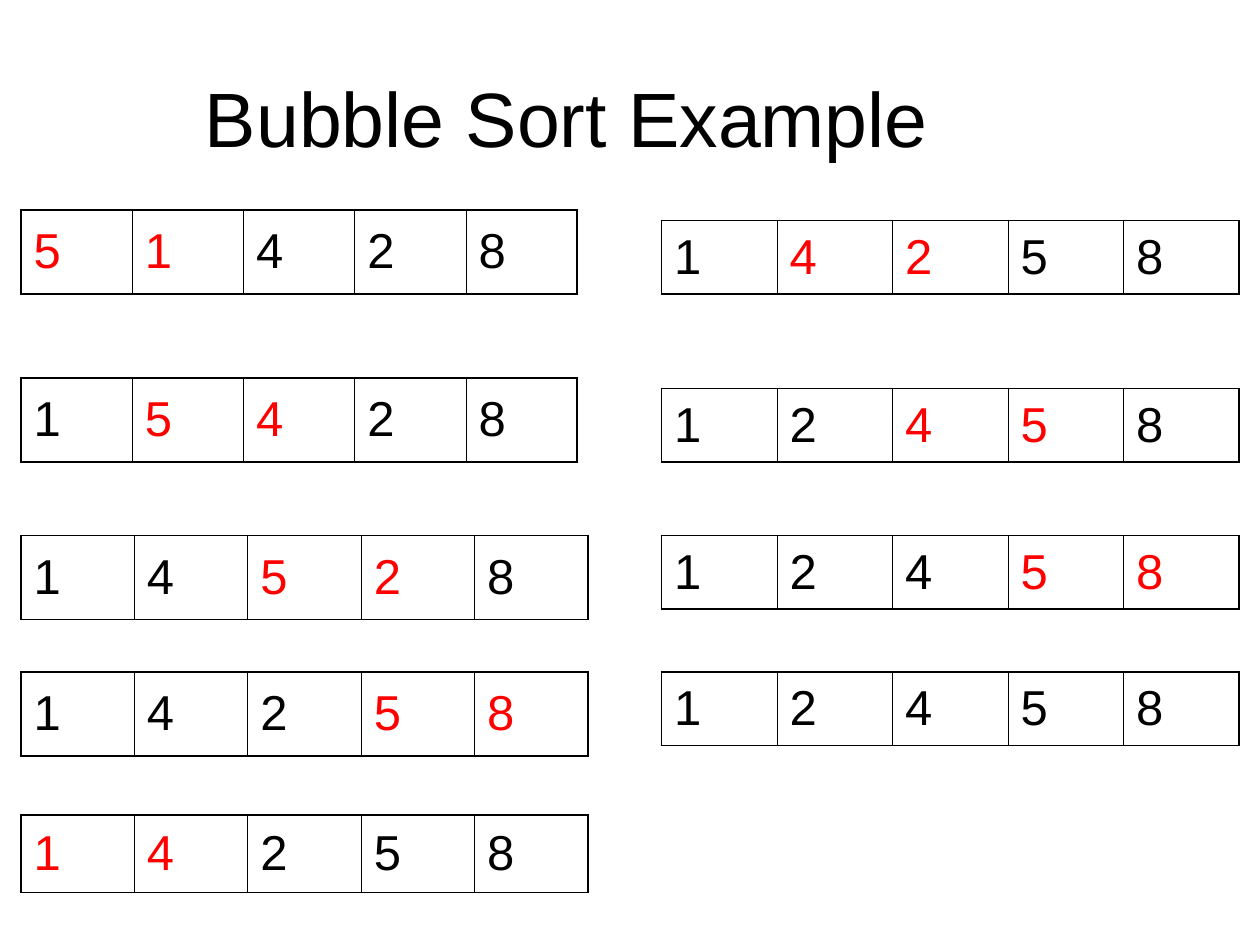
from lxml import etree
from pptx import Presentation
from pptx.dml.color import RGBColor
from pptx.enum.text import MSO_ANCHOR, PP_ALIGN
from pptx.oxml.ns import qn
from pptx.util import Inches, Pt

MIDDLE = MSO_ANCHOR.MIDDLE
LEFT, CENTER = PP_ALIGN.LEFT, PP_ALIGN.CENTER

COLORS = {"text": "000000", "compared": "FF0000", "border": "000000"}
FONT = "Arial"
UNIT = Inches(1) / 12  # grid step: the slide is 120 by 90 units
THIN, THICK = 0.45, 1.08

# Each step: left, top, width, height in units, values, first compared index
STEPS = [
    (2, 20, 53, 8, "51428", 0),
    (2, 36, 53, 8, "15428", 1),
    (2, 51, 54, 8, "14528", 2),
    (2, 64, 54, 8, "14258", 3),
    (2, 77.6, 54, 7.4, "14258", 0),
    (63, 21, 55, 7, "14258", 1),
    (63, 37, 55, 7, "12458", 2),
    (63, 51, 55, 7, "12458", 3),
    (63, 64, 55, 7, "12458", None),
]


def units(count):
    return round(count * UNIT)


def write_text(text_frame, text, size, color="text", align=LEFT, space_before=0):
    paragraph = text_frame.paragraphs[0]
    paragraph.alignment = align
    paragraph.space_before = Pt(space_before)
    run = paragraph.add_run()
    run.text = text
    run.font.size = Pt(size)
    run.font.name = FONT
    run.font.bold = False
    run.font.color.rgb = RGBColor.from_string(COLORS[color])


def set_borders(cell, **widths):
    properties = cell._tc.get_or_add_tcPr()
    for side, width in widths.items():
        line = etree.SubElement(properties, qn(f"a:ln{side}"), w=str(Pt(width)))
        fill = etree.SubElement(line, qn("a:solidFill"))
        etree.SubElement(fill, qn("a:srgbClr"), val=COLORS["border"])


def add_title(slide, text):
    title = slide.shapes.title
    title.left, title.top = 0, Inches(0.3)
    title.width, title.height = Inches(9), Inches(1.25)
    title.text_frame.vertical_anchor = MIDDLE
    write_text(title.text_frame, text, 44, align=CENTER)


def add_step(slide, left, top, width, height, values, compared):
    count = len(values)
    frame = slide.shapes.add_table(
        1, count, units(left), units(top), units(width), units(height))
    table = frame.table
    table.first_row = table.horz_banding = False
    pair = () if compared is None else (compared, compared + 1)
    for index, value in enumerate(values):
        table.columns[index].width = units(width / count)
        cell = table.cell(0, index)
        cell.vertical_anchor = MIDDLE
        color = "compared" if index in pair else "text"
        write_text(cell.text_frame, value, 28, color, space_before=7)
        # Outer edges are heavier than the lines between values
        set_borders(cell,
                    L=THICK if index == 0 else THIN,
                    R=THICK if index == count - 1 else THIN,
                    T=THICK, B=THICK)
        cell.fill.background()


def main():
    presentation = Presentation()
    presentation.slide_width = units(120)
    presentation.slide_height = units(90)
    title_only = presentation.slide_layouts[5]
    slide = presentation.slides.add_slide(title_only)
    add_title(slide, "Bubble Sort Example")
    for step in STEPS:
        add_step(slide, *step)
    presentation.save("out.pptx")


if __name__ == "__main__":
    main()
